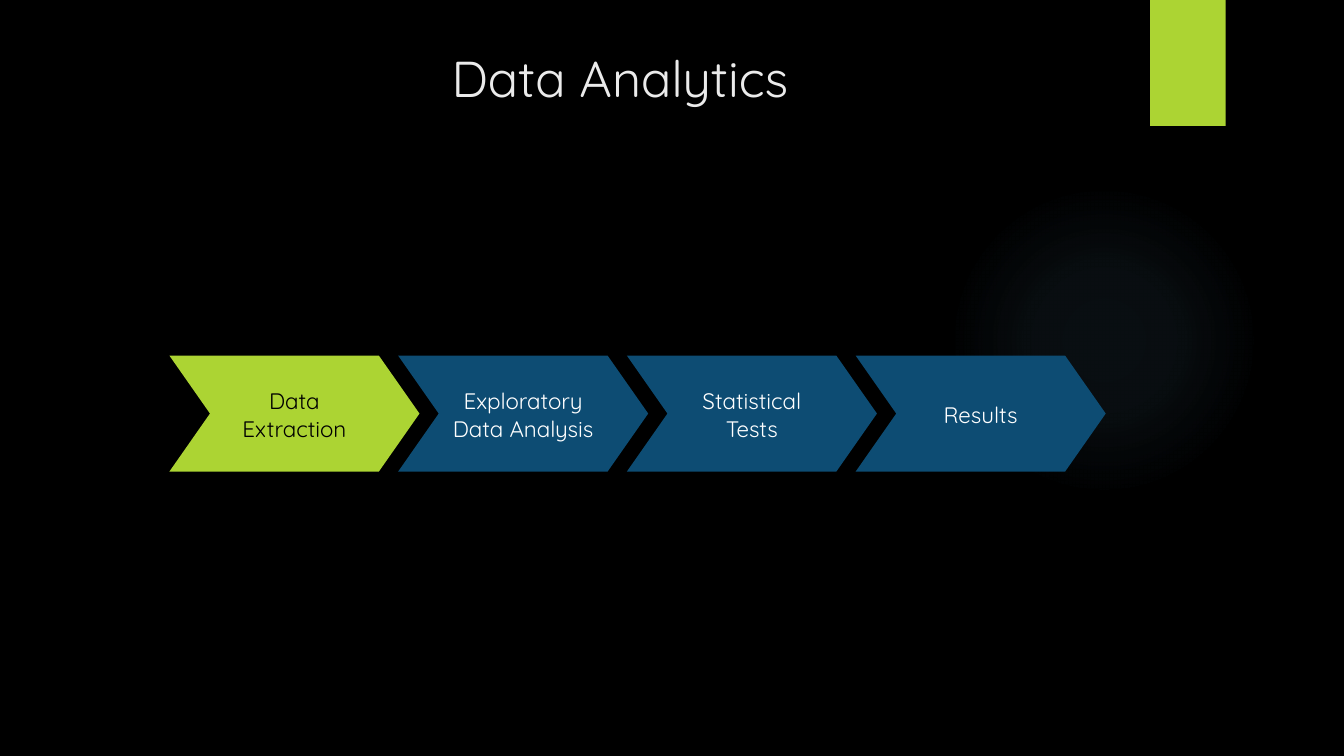
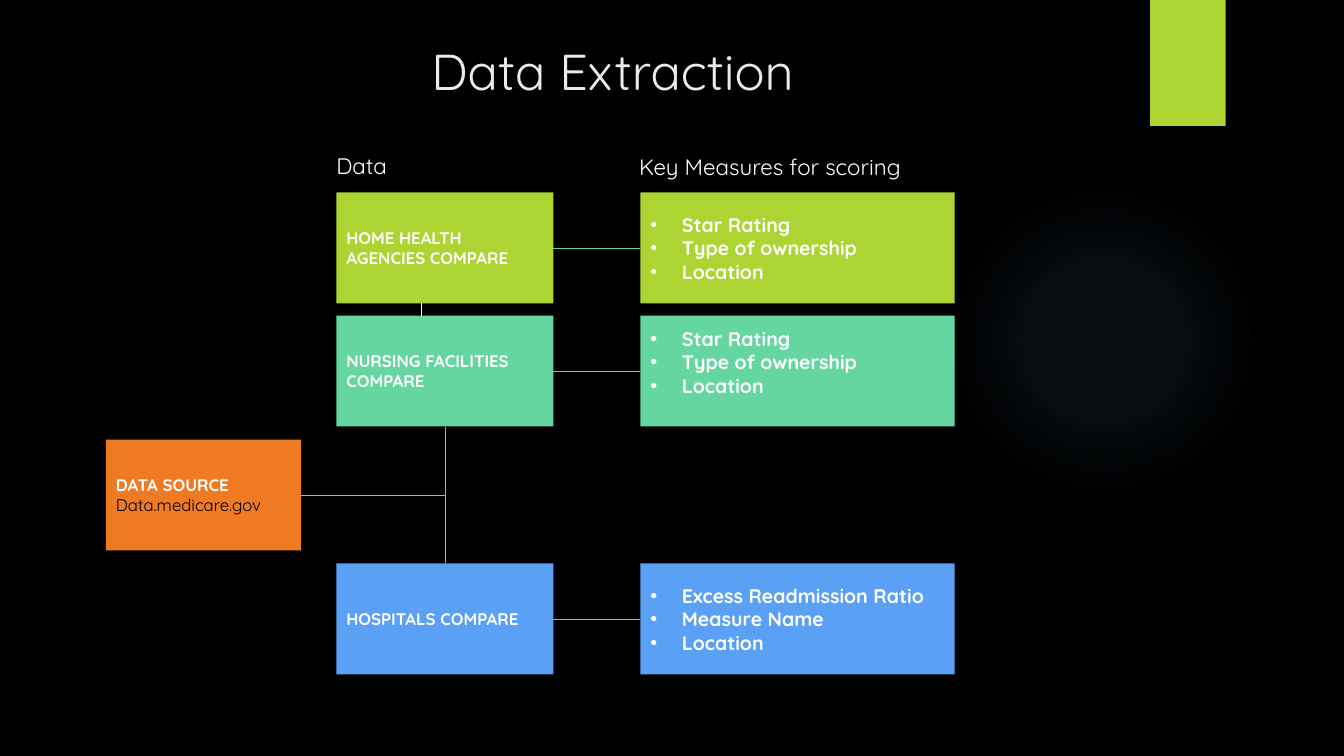
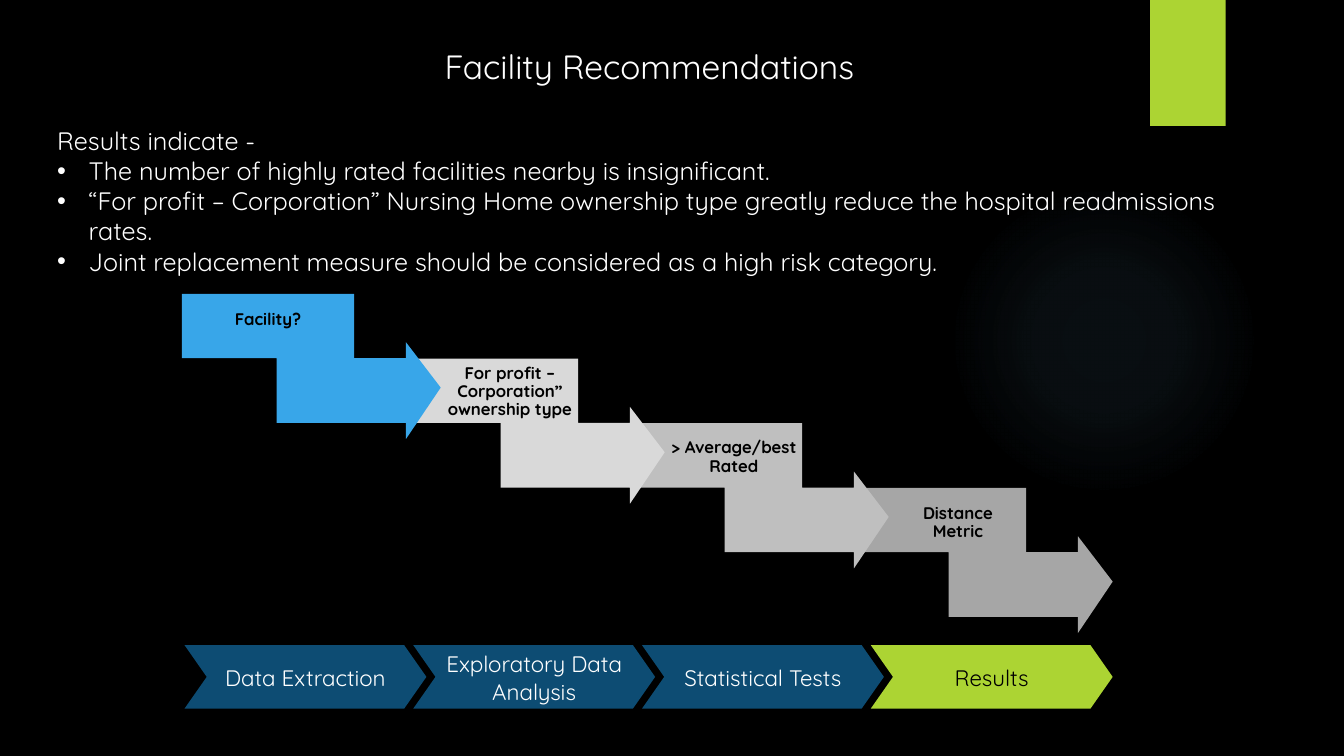
from pptx import Presentation
from pptx.dml.color import RGBColor
from pptx.enum.shapes import MSO_CONNECTOR, MSO_SHAPE
from pptx.enum.text import MSO_ANCHOR, MSO_AUTO_SIZE, PP_ALIGN
from pptx.oxml import parse_xml
from pptx.oxml.ns import nsdecls, qn
from pptx.util import Pt

RECT, OVAL, CHEVRON = MSO_SHAPE.RECTANGLE, MSO_SHAPE.OVAL, MSO_SHAPE.CHEVRON
STRAIGHT = MSO_CONNECTOR.STRAIGHT
TOP, MIDDLE = MSO_ANCHOR.TOP, MSO_ANCHOR.MIDDLE
LEFT, CENTER = PP_ALIGN.LEFT, PP_ALIGN.CENTER
NO_FIT = MSO_AUTO_SIZE.NONE
SIDE_TOP, SIDE_LEFT, SIDE_BOTTOM, SIDE_RIGHT = range(4)

FONT = "Quicksand"
BLACK, WHITE, OFF_WHITE = "000000", "FFFFFF", "EBEBEB"
LIME, MINT, BLUE = "ACD433", "65D6A0", "5AA0F5"
ORANGE, NAVY, GLOW = "EF7A24", "0D4C73", "7AC4F0"

TITLE_ONLY = 5
INSET = 7.2
HANG = 22.5
STAGES = ["Data Extraction", "Exploratory Data Analysis", "Statistical Tests", "Results"]
STAGE_PITCH = 163.4


def rgb(value):
    return RGBColor.from_string(value)


def box(left, top, width, height):
    return Pt(left), Pt(top), Pt(width), Pt(height)


def paint(sp, color):
    sp.shadow.inherit = False
    sp.fill.solid()
    sp.fill.fore_color.rgb = rgb(color)
    sp.line.fill.background()
    return sp


def add_run(p, text, size, color, bold=False):
    r = p.add_run()
    r.text = text
    r.font.name = FONT
    r.font.size = Pt(size)
    r.font.bold = bold
    r.font.color.rgb = rgb(color)


def add_bullet(p):
    pPr = p._p.get_or_add_pPr()
    pPr.set("marL", str(Pt(HANG)))
    pPr.set("indent", str(-Pt(HANG)))
    pPr.append(parse_xml(f'<a:buFont {nsdecls("a")} typeface="Arial"/>'))
    pPr.append(parse_xml(f'<a:buChar {nsdecls("a")} char="•"/>'))


def frame(sp, anchor, insets):
    tf = sp.text_frame
    tf.word_wrap = True
    tf.auto_size = NO_FIT
    tf.vertical_anchor = anchor
    tf.margin_left, tf.margin_top, tf.margin_right, tf.margin_bottom = map(Pt, insets)
    return tf


def write(tf, lines, size, color, bold=False, align=LEFT, spacing=None, bullets=False):
    for i, text in enumerate(lines):
        p = tf.paragraphs[0] if i == 0 else tf.add_paragraph()
        p.alignment = align
        if spacing:
            p.line_spacing = spacing
        if bullets:
            add_bullet(p)
        add_run(p, text, size, color, bold)


def add_glow(s):
    sp = paint(s.shapes.add_shape(OVAL, *box(677.5, 131.8, 221.8, 221.8)), GLOW)
    stops = "".join(
        f'<a:gs pos="{pos * 1000}"><a:srgbClr val="{GLOW}">'
        f'<a:alpha val="{alpha * 1000}"/></a:srgbClr></a:gs>'
        for pos, alpha in ((0, 7), (36, 6), (69, 0), (100, 0)))
    gradient = parse_xml(
        f'<a:gradFill {nsdecls("a")}><a:gsLst>{stops}</a:gsLst><a:path path="circle">'
        '<a:fillToRect l="50000" t="50000" r="50000" b="50000"/></a:path></a:gradFill>')
    spPr = sp._element.spPr
    spPr.replace(spPr.find(qn("a:solidFill")), gradient)


def new_slide(prs, title, left, top, size=36, color=OFF_WHITE):
    s = prs.slides.add_slide(prs.slide_layouts[TITLE_ONLY])
    add_glow(s)
    paint(s.shapes.add_shape(RECT, *box(821.5, 0, 54, 90)), LIME)
    sp = s.shapes.title
    sp.left, sp.top, sp.width, sp.height = box(left, top, 348, 66)
    write(frame(sp, TOP, (INSET, 3.6, INSET, 3.6)), [title], size, color)
    return s


def add_stages(s, left, top, width, height, active):
    for i, stage in enumerate(STAGES):
        sp = s.shapes.add_shape(CHEVRON, *box(left + i * STAGE_PITCH, top, width, height))
        sp.adjustments[0] = 0.35
        paint(sp, LIME if stage == active else NAVY)
        write(frame(sp, MIDDLE, [INSET] * 4), [stage], 16,
              BLACK if stage == active else WHITE, align=CENTER, spacing=1.06)


def add_block(s, left, top, width, color, lines, size, bullets=False, bottom=INSET):
    sp = paint(s.shapes.add_shape(RECT, *box(left, top, width, 79.2)), color)
    write(frame(sp, MIDDLE, (INSET, INSET, INSET, bottom)), lines, size, WHITE,
          bold=True, bullets=bullets)
    return sp


def add_label(s, left, top, width, height, lines, size, color, anchor=TOP, **style):
    sp = s.shapes.add_textbox(*box(left, top, width, height))
    write(frame(sp, anchor, [0] * 4), lines, size, color, **style)


def add_line(s, x1, y1, x2, y2, color=MINT, width=0.5):
    line = s.shapes.add_connector(STRAIGHT, Pt(x1), Pt(y1), Pt(x2), Pt(y2))
    line.line.color.rgb = rgb(color)
    line.line.width = Pt(width)
    line._element.spPr.append(parse_xml(f'<a:effectLst {nsdecls("a")}/>'))
    return line


def join(s, start, start_side, end, end_side):
    line = add_line(s, 0, 0, 0, 0)
    line.begin_connect(start, start_side)
    line.end_connect(end, end_side)


def add_source_tree(s, left, top):
    compare_left, measure_left = left + 164.7, left + 381.9
    ownership = ["Star Rating", "Type of ownership", "Location"]
    rows = [
        (0, LIME, "HOME HEALTH AGENCIES COMPARE", ownership, INSET),
        (88, MINT, "NURSING FACILITIES COMPARE", ownership, 20),
        (265, BLUE, "HOSPITALS COMPARE",
         ["Excess Readmission Ratio", "Measure Name", "Location"], INSET),
    ]
    add_label(s, compare_left, top - 28.8, 155, 20, ["Data"], 16, WHITE)
    add_label(s, measure_left - 1, top - 28, 260, 20, ["Key Measures for scoring"], 16, WHITE)

    compares = []
    for dy, color, name, measures, bottom in rows:
        compare = add_block(s, compare_left, top + dy, 155, color, [name], 12)
        measure = add_block(s, measure_left, top + dy, 224.4, color, measures, 14,
                            bullets=True, bottom=bottom)
        join(s, compare, SIDE_RIGHT, measure, SIDE_LEFT)
        compares.append(compare)
    home, nursing, hospitals = compares
    add_line(s, left + 225.4, top + 79.2, left + 225.4, top + 88, WHITE, 0.75)
    join(s, nursing, SIDE_BOTTOM, hospitals, SIDE_TOP)

    source = add_block(s, left, top + 176.5, 139.5, ORANGE, ["DATA SOURCE"], 12)
    add_run(source.text_frame.add_paragraph(), "Data.medicare.gov", 12, BLACK)
    source.text_frame.paragraphs[1].alignment = LEFT
    trunk_x, source_y = compare_left + 77.5, top + 216.1
    branch = add_line(s, left + 139.5, source_y, trunk_x, source_y)
    branch.begin_connect(source, SIDE_RIGHT)


def add_step(s, left, top, color, lines, text_left, text_height):
    outline = [(123, 0), (123, 46), (160, 46), (160, 34.6), (184.8, 67), (160, 103.7),
               (160, 92.2), (67.6, 92.2), (67.6, 46), (0, 46)]
    builder = s.shapes.build_freeform(Pt(left), Pt(top))
    builder.add_line_segments([(Pt(left + x), Pt(top + y)) for x, y in outline], close=True)
    paint(builder.convert_to_shape(), color)
    add_label(s, left + text_left, top, 123 - text_left, text_height, lines, 12, BLACK,
              MIDDLE, bold=True, align=CENTER, spacing=0.9)


def add_staircase(s, left, top):
    steps = [
        ("38A6E9", ["Facility?"], 0, 38),
        ("D9D9D9", ["For profit – Corporation” ownership type"], 25.5, 48),
        ("BFBFBF", ["> Average/best Rated"], 25.5, 49),
        ("A6A6A6", ["Distance", "Metric"], 25.5, 50),
    ]
    for i, step in reversed(list(enumerate(steps))):
        add_step(s, left + i * 160, top + i * 46.2, *step)


def add_findings(s, left, top, width, height):
    sp = s.shapes.add_textbox(*box(left, top, width, height))
    tf = frame(sp, TOP, (INSET, 3.6, INSET, 3.6))
    write(tf, [
        "Results indicate -",
        "The number of highly rated facilities nearby is insignificant.",
        "“For profit – Corporation” Nursing Home ownership type greatly reduce "
        "the hospital readmissions rates.",
        "Joint replacement measure should be considered as a high risk category.",
    ], 18, WHITE)
    for p in tf.paragraphs[1:]:
        add_bullet(p)


def main():
    prs = Presentation()
    prs.slide_width, prs.slide_height = Pt(960), Pt(540)
    background = prs.slide_master.background.fill
    background.solid()
    background.fore_color.rgb = rgb(BLACK)

    s = new_slide(prs, "Data Analytics", 315.4, 30.2)
    add_stages(s, 121, 254, 178.6, 82.8, "Data Extraction")

    s = new_slide(prs, "Data Extraction", 301, 25.2)
    add_source_tree(s, 75.6, 137.5)

    s = new_slide(prs, "Facility Recommendations", 310.3, 29.5, 24, WHITE)
    add_findings(s, 33.8, 85.7, 848.9, 116.6)
    add_staircase(s, 130, 209.9)
    add_stages(s, 131.8, 460.8, 172.8, 45.4, "Results")

    prs.save("out.pptx")


if __name__ == "__main__":
    main()
